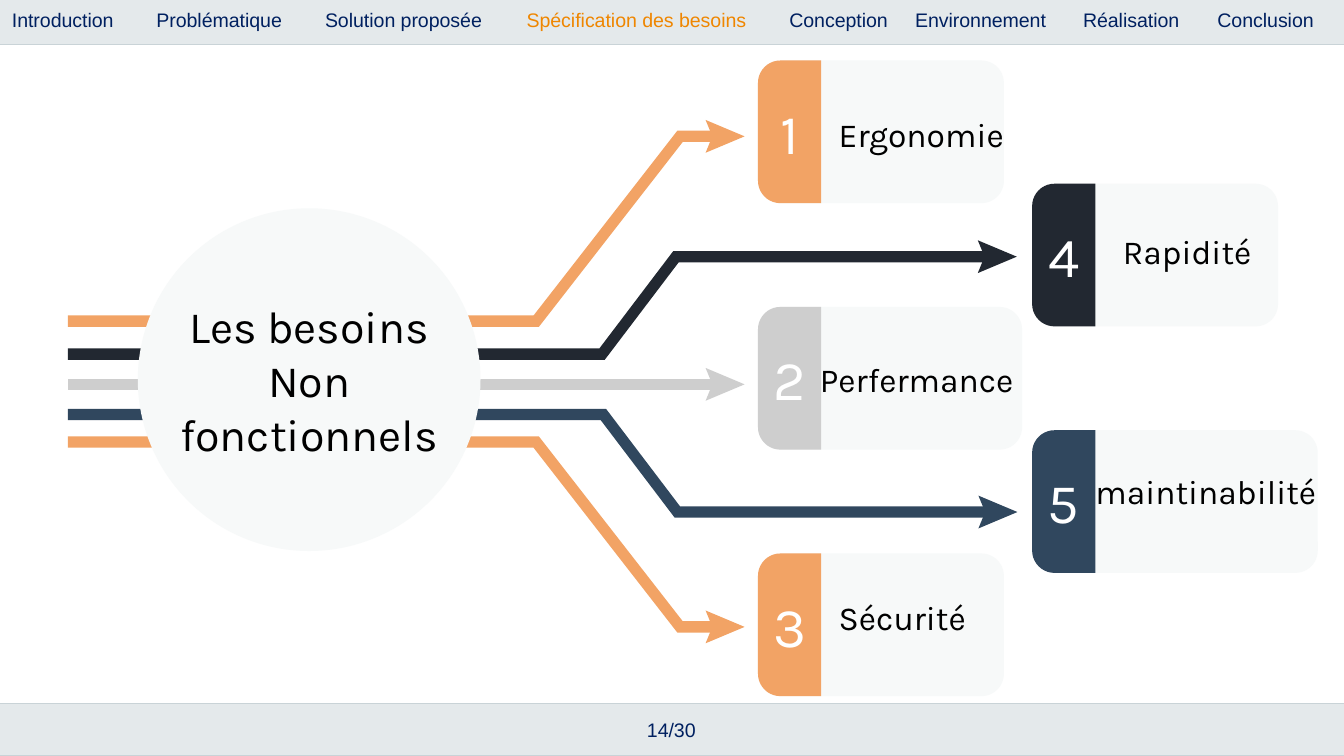
from dataclasses import dataclass
from math import cos, pi, sin

from lxml.etree import SubElement
from pptx import Presentation
from pptx.dml.color import RGBColor
from pptx.enum.shapes import MSO_SHAPE as Shape
from pptx.enum.text import MSO_ANCHOR as Anchor, PP_ALIGN as Align
from pptx.oxml.ns import qn
from pptx.util import Emu, Inches, Pt

CELL = Inches(0.1)  # the slide is a grid of 100 columns by 56.25 rows
COLUMNS, ROWS = 100, 56.25


@dataclass(frozen=True)
class Theme:
    bar: str = "E4E9EB"
    bar_line: str = "C9D3D7"
    navy: str = "002060"
    active: str = "EF8600"
    panel: str = "F7F9F9"
    orange: str = "F2A365"
    dark: str = "222831"
    grey: str = "CECECE"
    blue: str = "30475E"
    black: str = "000000"
    white: str = "FFFFFF"
    bar_font: str = "Arial"
    body_font: str = "Karla"
    bar_size: float = 10.5
    label_size: int = 18
    hub_size: int = 24
    number_size: int = 30


@dataclass(frozen=True)
class Box:
    left: float
    top: float
    width: float
    height: float

    def emu(self):
        return [cells(n) for n in (self.left, self.top, self.width, self.height)]


THEME = Theme()
NAVIGATION = [  # section, start column
    ("Introduction", 0.9), ("Problématique", 11.65), ("Solution proposée", 24.2),
    ("Spécification des besoins", 39.2), ("Conception", 58.75),
    ("Environnement", 68.1), ("Réalisation", 80.6), ("Conclusion", 90.6),
]
ACTIVE_SECTION = "Spécification des besoins"
CARDS = [  # number, label, colour, card width, label offset and centre in the card
    ("1", "Ergonomie", THEME.orange, 18.3, 6, 5.5),
    ("4", "Rapidité", THEME.dark, 18.3, 6.75, 5),
    ("2", "Perfermance", THEME.grey, 19.65, 4.6, 5.4),
    ("5", "maintinabilité", THEME.blue, 21.25, 4.7, 4.5),
    ("3", "Sécurité", THEME.orange, 18.3, 6, 4.75),
]
ARROWS = [  # colour, start row, end row, bend columns, end column
    (THEME.grey, 28.6, 28.6, (), 53.4),
    (THEME.orange, 23.9, 10.15, (39.9, 50.6), 53.4),
    (THEME.dark, 26.35, 19.1, (44.8, 50.3), 73.65),
    (THEME.blue, 30.85, 38.1, (44.9, 50.4), 73.7),
    (THEME.orange, 32.9, 46.65, (39.9, 50.6), 53.4),
]


def cells(count):
    return Emu(round(count * CELL))


def paint(shape, fill, line=None):
    shape.shadow.inherit = False
    shape.fill.solid()
    shape.fill.fore_color.rgb = RGBColor.from_string(fill)
    if line:
        shape.line.color.rgb = RGBColor.from_string(line)
        shape.line.width = Pt(0.25)
    else:
        shape.line.fill.background()


def style(paragraph, font, size, color, align):
    paragraph.alignment = align
    paragraph.font.name = font
    paragraph.font.size = Pt(size)
    paragraph.font.color.rgb = RGBColor.from_string(color)


def write(shape, lines, size, color, font=THEME.body_font, align=Align.CENTER):
    frame = shape.text_frame
    frame.word_wrap = False
    frame.vertical_anchor = Anchor.MIDDLE
    frame.margin_left = frame.margin_right = 0
    frame.margin_top = frame.margin_bottom = 0
    frame.text = "\n".join(lines)
    for paragraph in frame.paragraphs:
        style(paragraph, font, size, color, align)


def add_polygon(slide, points, fill):
    points = [(cells(x), cells(y)) for x, y in points]
    builder = slide.shapes.build_freeform(*points[0], scale=1.0)
    builder.add_line_segments(points[1:], close=True)
    shape = builder.convert_to_shape()
    paint(shape, fill)
    return shape


def add_bar(slide, box):
    bar = slide.shapes.add_shape(Shape.RECTANGLE, *box.emu())
    paint(bar, THEME.bar, THEME.bar_line)
    return bar


def add_navigation(slide, box):
    frame = add_bar(slide, box).text_frame
    frame.vertical_anchor = Anchor.MIDDLE
    frame.margin_right = 0
    first = NAVIGATION[0][1]
    frame.margin_left = cells(first - box.left)
    paragraph = frame.paragraphs[0]
    # Tab stops place every section after the first
    tabs = SubElement(paragraph._p.get_or_add_pPr(), qn("a:tabLst"))
    for _, column in NAVIGATION[1:]:
        SubElement(tabs, qn("a:tab"), pos=str(cells(column - first)), algn="l")
    style(paragraph, THEME.bar_font, THEME.bar_size, THEME.navy, Align.LEFT)
    for index, (section, _) in enumerate(NAVIGATION):
        run = paragraph.add_run()
        run.text = f"\t{section}" if index else section
        if section == ACTIVE_SECTION:
            run.font.color.rgb = RGBColor.from_string(THEME.active)


def add_footer(slide, box):
    write(add_bar(slide, box), ["14/30"], THEME.bar_size, THEME.navy, THEME.bar_font)


def add_arrow(slide, box, color, start, end, bends, stop):
    half, miter = 0.42, 0.2
    lean = miter if end > start else -miter
    rows = (start, end)
    # Band: upper edge left to right, then lower edge back
    upper = [(box.left, start - half)]
    upper += [(x + lean, y - half) for x, y in zip(bends, rows)]
    upper.append((stop, end - half))
    lower = [(box.left, start + half)]
    lower += [(x - lean, y + half) for x, y in zip(bends, rows)]
    lower.append((stop, end + half))
    add_polygon(slide, upper + lower[::-1], color)
    # Notched head
    base = stop - 0.9
    add_polygon(slide, [(base, end - 1.22), (base + 0.5, end),
                        (base, end + 1.22), (base + 2.9, end)], color)


def add_hub(slide, box):
    hub = slide.shapes.add_shape(Shape.OVAL, *box.emu())
    paint(hub, THEME.panel)
    write(hub, ["Les besoins", "Non", "fonctionnels"], THEME.hub_size, THEME.black)


def add_card(slide, box, number, label, color, offset, centre):
    radius, band = 1.67, 4.7
    panel = slide.shapes.add_shape(Shape.ROUNDED_RECTANGLE, *box.emu())
    panel.adjustments[0] = radius / box.height
    paint(panel, THEME.panel)
    # Number band, rounded on its left side
    right, bottom = box.left + band, box.top + box.height
    points = [(right, box.top)]
    for middle, first in ((box.top + radius, 3), (bottom - radius, 2)):
        for step in range(11):
            angle = (first - step / 10) * pi / 2
            points.append((box.left + radius + radius * cos(angle),
                           middle + radius * sin(angle)))
    points.append((right, bottom))
    write(add_polygon(slide, points, color), [number], THEME.number_size, THEME.white)
    # Label
    label_box = Box(box.left + offset, box.top + centre - 2, 17.5, 4)
    text = slide.shapes.add_textbox(*label_box.emu())
    write(text, [label], THEME.label_size, THEME.black, align=Align.LEFT)
    text.text_frame.word_wrap = True


def add_diagram(slide, box):
    for arrow in ARROWS:
        add_arrow(slide, box, *arrow)
    add_hub(slide, Box(box.left + 5.2, box.top + 11, 25.5, 25.5))
    # Cards step down by equal rows, alternating between two columns
    for index, (number, label, color, width, offset, centre) in enumerate(CARDS):
        card = Box(box.left + 51.35 + 20.4 * (index % 2),
                   box.top + 9.17 * index, width, 10.62)
        add_card(slide, card, number, label, color, offset, centre)


def main():
    presentation = Presentation()
    presentation.slide_width = cells(COLUMNS)
    presentation.slide_height = cells(ROWS)
    slide = presentation.slides.add_slide(presentation.slide_layouts[6])
    add_footer(slide, Box(-0.1, 52.33, 100.1, 3.9))
    add_diagram(slide, Box(5.05, 4.5, 93, 47.3))
    add_navigation(slide, Box(-0.1, -0.4, 100.1, 3.7))
    presentation.save("out.pptx")


if __name__ == "__main__":
    main()
